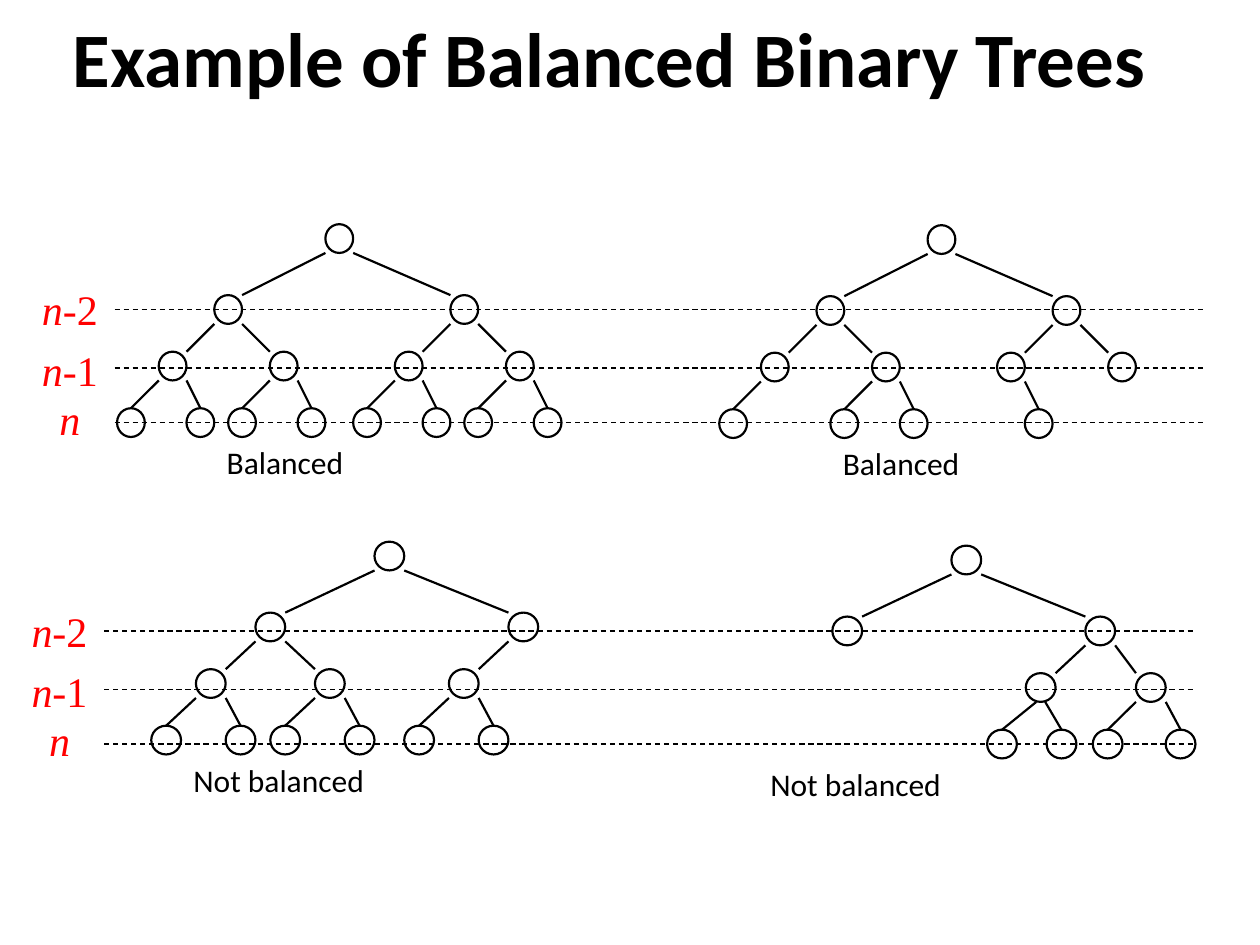
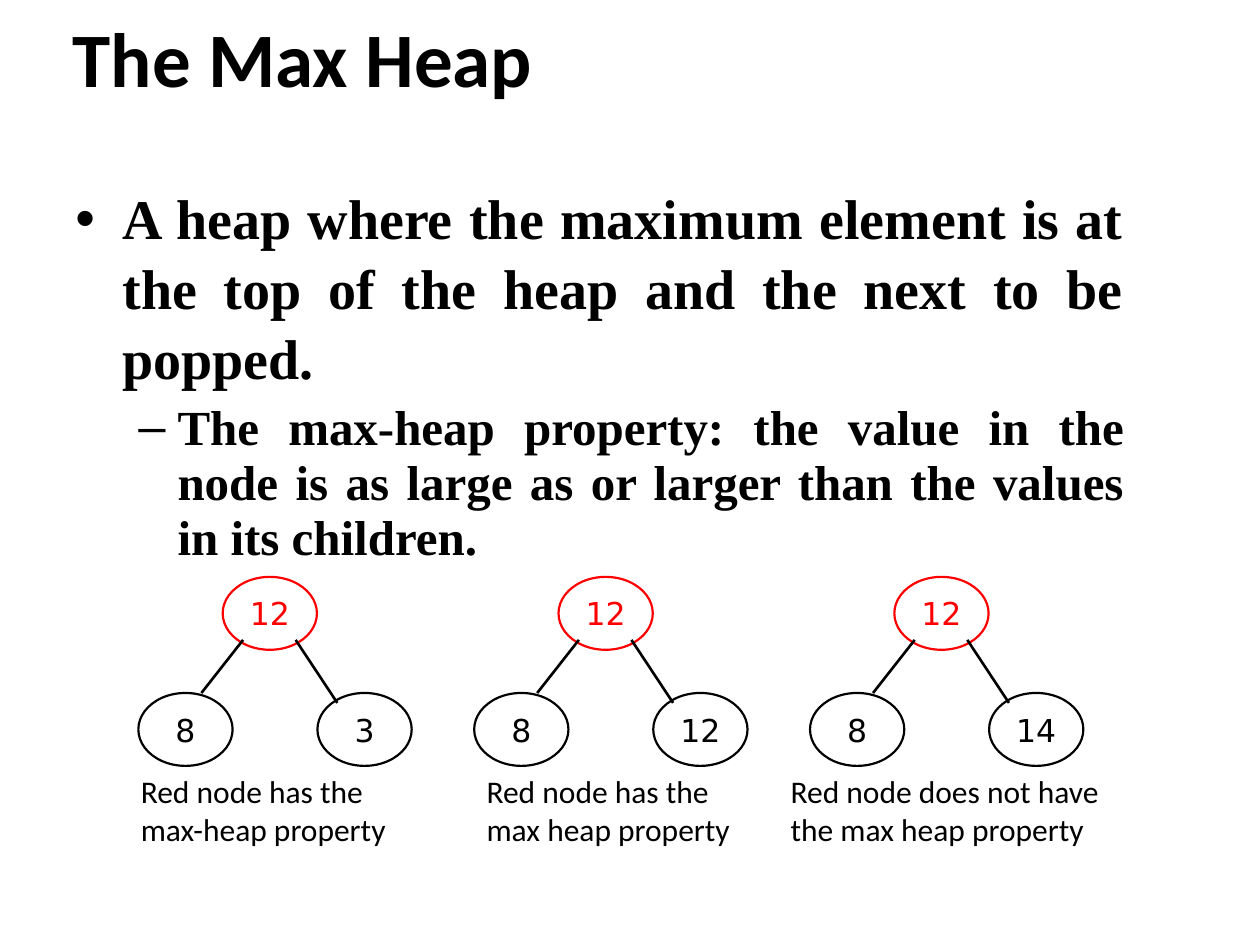
import pptx
import pptx.dml.color
import pptx.enum.dml
import pptx.enum.shapes
import pptx.enum.text
import pptx.oxml.ns
import pptx.util
from lxml import etree
from pptx.util import Cm

BLACK, RED = "000000", "FF0000"
BODY_FONT, SERIF, NUMBER_FONT = "Calibri", "Times New Roman", "DejaVu Sans"
ALIGN = pptx.enum.text.PP_ALIGN
ANCHOR = pptx.enum.text.MSO_ANCHOR

# Each node is named by its route from the root: L for left, R for right.
NODE_COLUMNS = {
    "": 15, "L": 7, "R": 24, "LL": 3, "LR": 11, "RL": 20, "RR": 28,
    "LLL": 0, "LLR": 5, "LRL": 8, "LRR": 13,
    "RLL": 17, "RLR": 22, "RRL": 25, "RRR": 30,
}
LEVEL_TOPS = [0, 1.43, 2.57, 3.71]
NODE_HEIGHT = 0.58


def color(hex_string):
    return pptx.dml.color.RGBColor.from_string(hex_string)


def add_child(parent, tag, **attributes):
    child = etree.SubElement(parent, pptx.oxml.ns.qn(tag))
    for name, value in attributes.items():
        child.set(name, str(value))
    return child


def write(paragraph, text, size=18, font=BODY_FONT, ink=BLACK, bold=False, italic=False):
    run = paragraph.add_run()
    run.text = text
    run.font.size = pptx.util.Pt(size)
    run.font.name = font
    run.font.color.rgb = color(ink)
    run.font.bold = bold
    run.font.italic = italic


def add_text(slide, text, left, top, width, height, anchor=ANCHOR.TOP, align=None, **style):
    """Adds a wrapping text box and returns its first paragraph."""
    frame = slide.shapes.add_textbox(Cm(left), Cm(top), Cm(width), Cm(height)).text_frame
    frame.word_wrap = True
    frame.vertical_anchor = anchor
    paragraph = frame.paragraphs[0]
    paragraph.alignment = align
    write(paragraph, text, **style)
    return paragraph


def add_node(slide, left, top, width, height, ink=BLACK, label=""):
    shape = slide.shapes.add_shape(
        pptx.enum.shapes.MSO_SHAPE.OVAL, Cm(left), Cm(top), Cm(width), Cm(height))
    shape.shadow.inherit = False
    shape.fill.background()
    shape.line.color.rgb = color(ink)
    shape.line.width = pptx.util.Pt(1.25)
    if label:
        frame = shape.text_frame
        frame.word_wrap = False
        frame.vertical_anchor = ANCHOR.MIDDLE
        frame.paragraphs[0].alignment = ALIGN.CENTER
        write(frame.paragraphs[0], label, font=NUMBER_FONT, ink=ink)


def add_line(slide, start_x, start_y, end_x, end_y, weight=1.25, dashed=False):
    line = slide.shapes.add_connector(
        pptx.enum.shapes.MSO_CONNECTOR.STRAIGHT,
        Cm(start_x), Cm(start_y), Cm(end_x), Cm(end_y))
    line.line.color.rgb = color(BLACK)
    line.line.width = pptx.util.Pt(weight)
    if dashed:
        line.line.dash_style = pptx.enum.dml.MSO_LINE.DASH
    add_child(line._element.spPr, "a:effectLst")


def add_titled_slide(presentation, title):
    slide = presentation.slides.add_slide(presentation.slide_layouts[6])
    add_text(slide, title, 1.22, 0.2, 23.34, 1.9, anchor=ANCHOR.MIDDLE, size=44, bold=True)
    return slide


def add_levels(slide, left, top):
    """Labels the three lowest levels and rules a dashed line along each."""
    levels = [("-2", 0, 0.5), ("-1", 1.22, 1.68), ("", 2.21, 2.78)]
    for suffix, label_top, line_top in levels:
        paragraph = add_text(slide, "n", left, top + label_top, 1.8, 0.97,
                             anchor=ANCHOR.MIDDLE, align=ALIGN.CENTER,
                             size=24, font=SERIF, ink=RED, italic=True)
        if suffix:
            write(paragraph, suffix, size=24, font=SERIF, ink=RED)
        add_line(slide, left + 1.8, top + line_top, left + 23.8, top + line_top, 0.75, True)


def add_tree(slide, left, top, unit, caption, caption_column, missing=(), moved=None, insets=None):
    """Draws a tree on columns one unit wide; a node spans two of them."""
    columns = NODE_COLUMNS | (moved or {})
    insets = insets or {}
    for route, column in columns.items():
        if route in missing:
            continue
        node_left = left + column * unit
        node_top = top + LEVEL_TOPS[len(route)]
        add_node(slide, node_left, node_top, 2 * unit, NODE_HEIGHT)
        if not route:
            continue
        parent, on_left = route[:-1], route[-1] == "L"
        inset = insets.get(parent, 0)
        parent_column = columns[parent] + (inset if on_left else 2 - inset)
        if len(route) == 3:
            child_offset = 1
        else:
            child_offset = 2 if on_left else 0
        add_line(slide, node_left + child_offset * unit, node_top,
                 left + parent_column * unit, top + LEVEL_TOPS[len(parent)] + NODE_HEIGHT)
    add_text(slide, caption, left + caption_column * unit, top + 4.29, 7.2, 1.0)


def add_heap(slide, left, top, left_value, right_value, caption, caption_shift, caption_width):
    nodes = [(1.7, 0, "12", RED), (0, 2.34, left_value, BLACK), (3.61, 2.34, right_value, BLACK)]
    for x, y, value, ink in nodes:
        add_node(slide, left + x, top + y, 1.9, 1.47, ink, value)
    for start_x, end_x, end_y in [(2.11, 1.27, 2.34), (3.17, 4.01, 2.54)]:
        add_line(slide, left + start_x, top + 1.27, left + end_x, top + end_y, 1.5)
    add_text(slide, caption, left + caption_shift, top + 3.81, caption_width, 1.8)


def format_bullet(paragraph, bullet, margin, hanging, line_spacing):
    paragraph.alignment = ALIGN.JUSTIFY
    paragraph.line_spacing = line_spacing
    properties = paragraph._p.get_or_add_pPr()
    properties.set("marL", str(Cm(margin)))
    properties.set("indent", str(-Cm(hanging)))
    add_child(properties, "a:buFont", typeface="Arial")
    add_child(properties, "a:buChar", char=bullet)


def add_definition(slide, left, top, width, height):
    paragraph = add_text(
        slide,
        "A heap where the maximum element is at the top of the heap and the next to be popped.",
        left, top, width, height, size=32, font=SERIF, bold=True)
    format_bullet(paragraph, "•", 0.95, 0.95, 1.04)
    detail = paragraph._parent.add_paragraph()
    detail.level = 1
    detail.space_before = pptx.util.Pt(5.6)
    write(detail,
          "The max-heap property: the value in the node is as large as or larger than "
          "the values in its children.", size=28, font=SERIF, bold=True)
    format_bullet(detail, "–", 2.06, 0.79, 0.94)


def build_balance_slide(presentation):
    slide = add_titled_slide(presentation, "Example of Balanced Binary Trees")
    add_levels(slide, 0.51, 5.74)
    add_levels(slide, 0.3, 12.22)
    add_tree(slide, 2.36, 4.52, 0.28, "Balanced", 7)
    add_tree(slide, 14.5, 4.54, 0.28, "Balanced", 8, missing=("LLR", "RLL", "RRL", "RRR"))
    add_tree(slide, 3.05, 10.92, 0.3, "Not balanced", 2, missing=("RR", "RRL", "RRR"))
    add_tree(slide, 14.68, 11.0, 0.3, "Not balanced", 2,
             missing=("LL", "LR", "LLL", "LLR", "LRL", "LRR"),
             moved={"RR": 27.4, "RLL": 17.4, "RLR": 21.4, "RRL": 24.5, "RRR": 29.4},
             insets={"RL": 0.7})


def build_heap_slide(presentation):
    slide = add_titled_slide(presentation, "The Max Heap")
    add_definition(slide, 1.27, 3.53, 21.64, 7.8)
    heaps = [
        ("8", "3", "Red node has the max-heap property", -0.2, 5.51),
        ("8", "12", "Red node has the max heap property", 0, 5.51),
        ("8", "14", "Red node does not have the max heap property", -0.64, 7.19),
    ]
    for index, heap in enumerate(heaps):
        add_heap(slide, 2.79 + index * 6.77, 11.63, *heap)


def main():
    presentation = pptx.Presentation()
    presentation.slide_width = Cm(25.4)
    presentation.slide_height = Cm(19.05)
    build_balance_slide(presentation)
    build_heap_slide(presentation)
    presentation.save("out.pptx")


if __name__ == "__main__":
    main()
